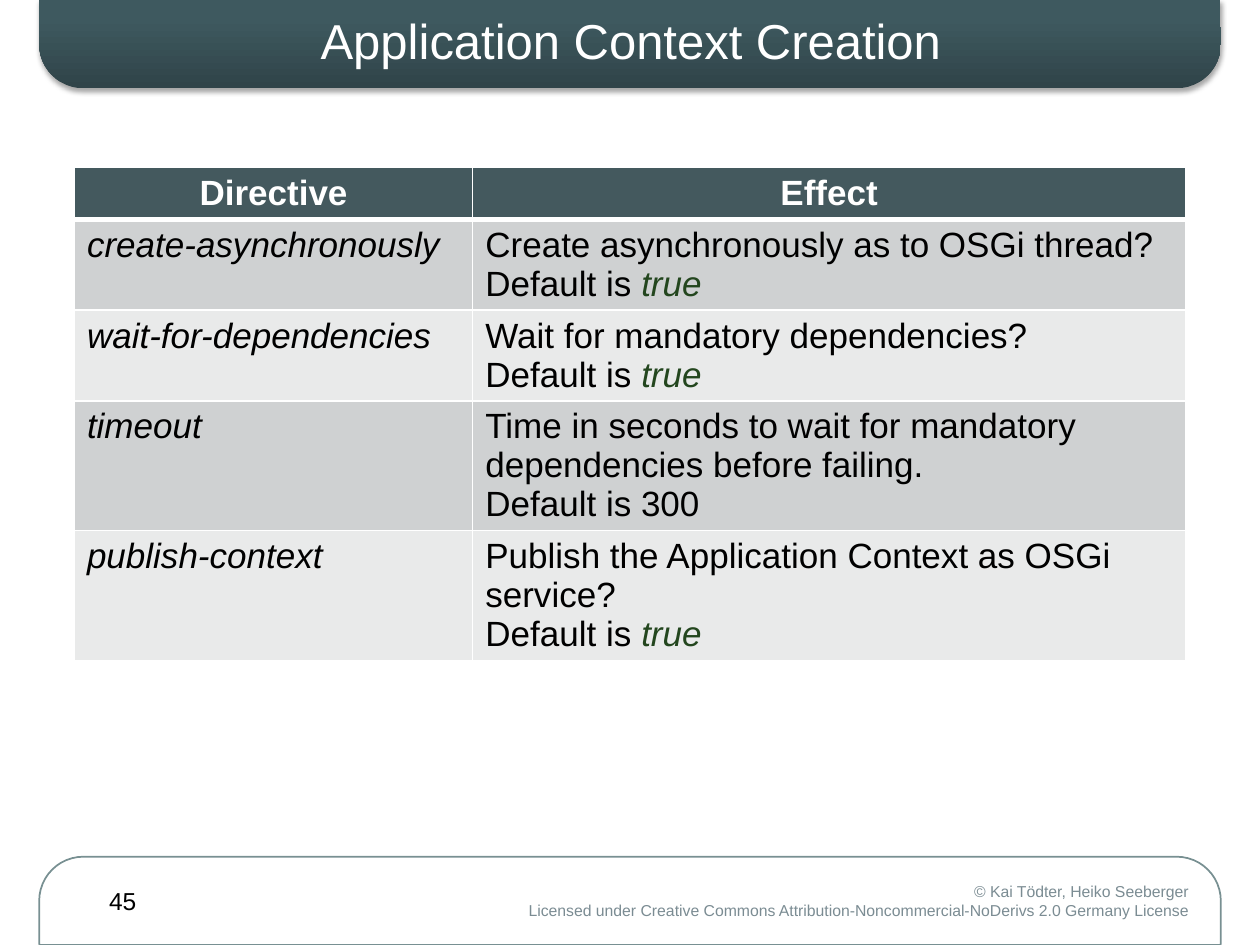
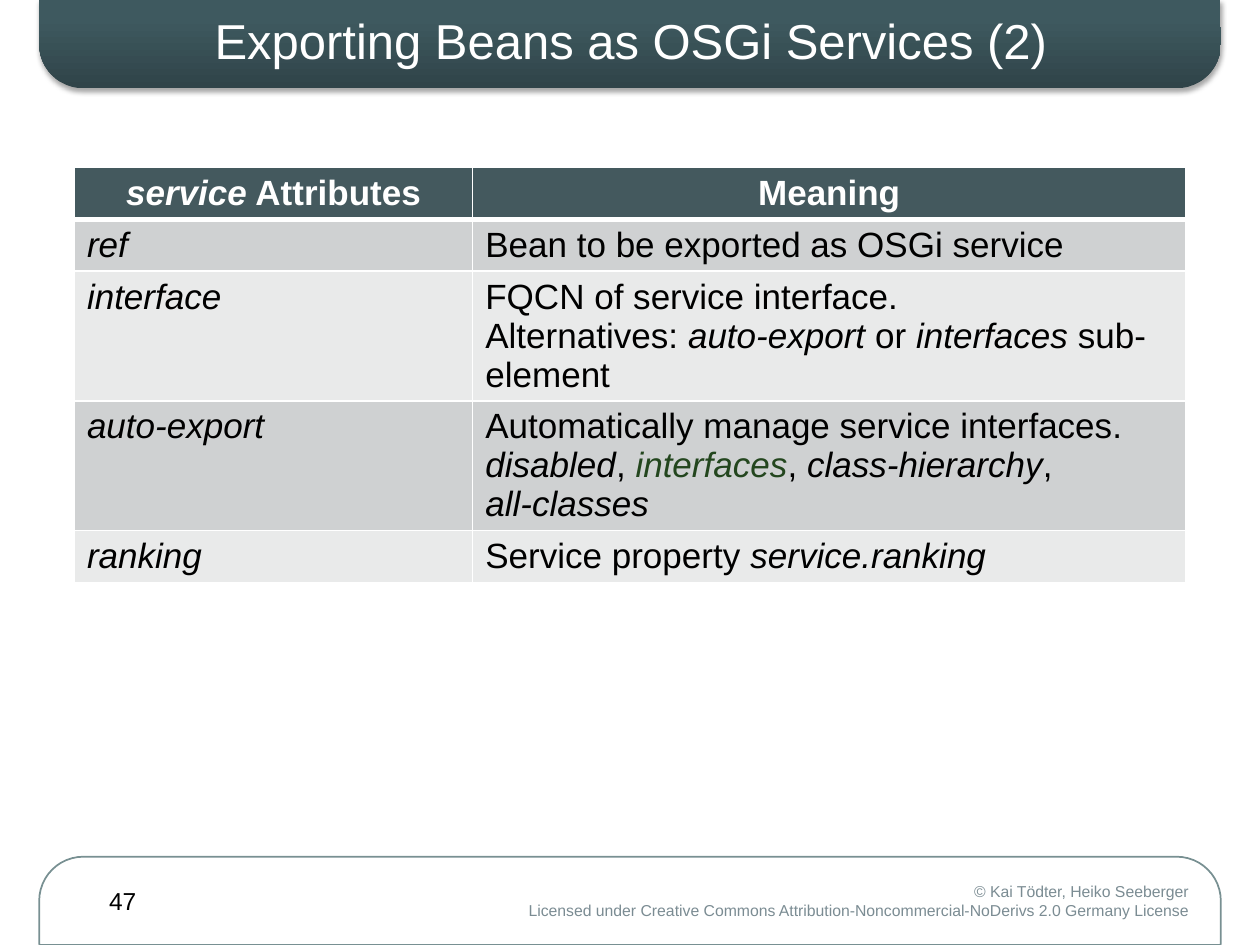
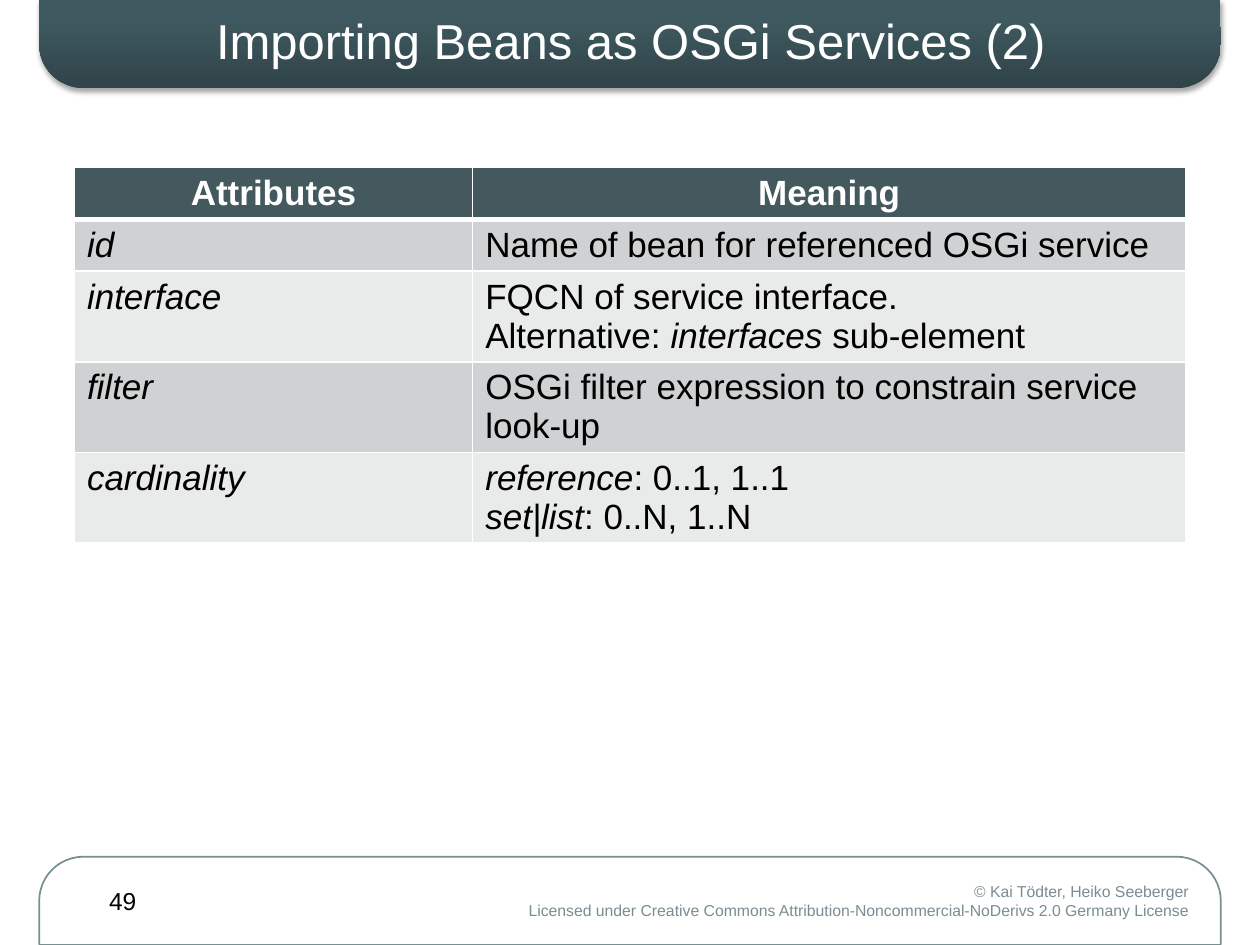
from dataclasses import dataclass

from pptx import Presentation
from pptx.dml.color import RGBColor
from pptx.enum.shapes import MSO_SHAPE
from pptx.enum.text import MSO_ANCHOR, PP_ALIGN
from pptx.oxml import parse_xml
from pptx.oxml.ns import nsdecls
from pptx.util import Cm, Pt


@dataclass(frozen=True)
class Theme:
    font: str = "Arial"
    title_size: Pt = Pt(28)
    table_size: Pt = Pt(20)
    number_size: Pt = Pt(14)
    footer_size: Pt = Pt(9)
    white: RGBColor = RGBColor.from_string("FFFFFF")
    black: RGBColor = RGBColor.from_string("000000")
    band_dark: RGBColor = RGBColor.from_string("304449")
    band_light: RGBColor = RGBColor.from_string("3E595F")
    outline: RGBColor = RGBColor.from_string("789092")
    footer: RGBColor = RGBColor.from_string("7B8C93")
    header: RGBColor = RGBColor.from_string("44595E")
    row_odd: RGBColor = RGBColor.from_string("CFD1D2")
    row_even: RGBColor = RGBColor.from_string("E9EAEA")
    default_value: RGBColor = RGBColor.from_string("23461E")


theme = Theme()

FOOTER = ("© Kai Tödter, Heiko Seeberger\n"
          "Licensed under Creative Commons Attribution-Noncommercial-NoDerivs 2.0 Germany License")

# Cell markup: *italic*, *+default value*; \n starts a paragraph, \v breaks a line.
# Each slide: title, page number, table height in cm, rows.
SLIDES = [
    ("Application Context Creation", 45, 10.59, [
        ("Directive", "Effect"),
        ("*create-asynchronously*", "Create asynchronously as to OSGi thread?\nDefault is *+true*"),
        ("*wait-for-dependencies*", "Wait for mandatory dependencies?\nDefault is *+true*"),
        ("*timeout*", "Time in seconds to wait for mandatory dependencies before failing.\n"
                      "Default is 300"),
        ("*publish-context*", "Publish the Application Context as OSGi service?\n"
                              "Default is *+true*"),
    ]),
    ("Exporting Beans as OSGi Services (2)", 47, 8.89, [
        ("*service* Attributes", "Meaning"),
        ("*ref*", "Bean to be exported as OSGi service"),
        ("*interface*", "FQCN of service interface.\n"
                        "Alternatives: *auto-export* or *interfaces* sub-element"),
        ("*auto-export*", "Automatically manage service interfaces.\n"
                          "*disabled*, *+interfaces*, *class-hierarchy*, \v*all-classes*"),
        ("*ranking*", "Service property *service.ranking*"),
    ]),
    ("Importing Beans as OSGi Services (2)", 49, 8.05, [
        ("Attributes", "Meaning"),
        ("*id*", "Name of bean for referenced OSGi service"),
        ("*interface*", "FQCN of service interface.\nAlternative: *interfaces* sub-element"),
        ("*filter*", "OSGi filter expression to constrain service look-up"),
        ("*cardinality*", "*reference*: 0..1, 1..1\n*set|list*: 0..N, 1..N"),
    ]),
]


def style(p, size, color, align=PP_ALIGN.LEFT, bold=False):
    p.alignment = align
    p.font.name, p.font.size, p.font.bold = theme.font, size, bold
    p.font.color.rgb = color


def fill_cell(cell, markup, row):
    """Write the marked-up text, white borders and row colour of one cell."""
    is_header = row == 0
    tc_pr = cell._tc.get_or_add_tcPr()
    widths = {"L": 1, "R": 1, "T": 3 if row == 1 else 1, "B": 3 if is_header else 1}
    for side, width in widths.items():
        tc_pr.append(parse_xml(
            f'<a:ln{side} {nsdecls("a")} w="{Pt(width)}"><a:solidFill>'
            f'<a:srgbClr val="{theme.white}"/></a:solidFill></a:ln{side}>'))
    cell.fill.solid()
    cell.fill.fore_color.rgb = (theme.header if is_header
                                else theme.row_odd if row % 2 else theme.row_even)
    tf = cell.text_frame
    for n, line in enumerate(markup.split("\n")):
        p = tf.add_paragraph() if n else tf.paragraphs[0]
        if is_header:
            style(p, theme.table_size, theme.white, PP_ALIGN.CENTER, bold=True)
        else:
            style(p, theme.table_size, theme.black)
        for i, piece in enumerate(line.split("*")):
            if not piece:
                continue
            r = p.add_run()
            r.text = piece.lstrip("+").rstrip("\v")
            r.font.italic = i % 2 == 1
            if piece.startswith("+"):
                r.font.color.rgb = theme.default_value
            if piece.endswith("\v"):
                p.add_line_break()


prs = Presentation()
prs.slide_width, prs.slide_height = Cm(25.4), Cm(19.05)

for title_text, number, table_height, rows in SLIDES:
    s = prs.slides.add_slide(prs.slide_layouts[5])

    # Bands at the top and bottom edges
    bands = []
    for top in (0, 17.27):
        sp = s.shapes.add_shape(MSO_SHAPE.ROUND_2_SAME_RECTANGLE,
                                Cm(0.79), Cm(top), Cm(23.82), Cm(1.78))
        sp.adjustments[0], sp.adjustments[1] = 0.016, 0.5
        sp.shadow.inherit = False
        bands.append(sp)
    title_band, footer_band = bands

    title_band.line.fill.background()
    title_band.fill.gradient()
    title_band.fill.gradient_angle = 90
    stops = title_band.fill.gradient_stops
    for stop, position, color in zip(stops, (0, 0.8), (theme.band_dark, theme.band_light)):
        stop.position, stop.color.rgb = position, color
    title_band._element.spPr.find("{*}effectLst").append(parse_xml(
        f'<a:outerShdw {nsdecls("a")} blurRad="{Pt(3.1)}" dist="{Pt(1.8)}" dir="5400000" '
        f'algn="ctr" rotWithShape="0"><a:srgbClr val="{theme.black}">'
        '<a:alpha val="35000"/></a:srgbClr></a:outerShdw>'))

    footer_band.rotation = 180
    footer_band.fill.background()
    footer_band.line.color.rgb, footer_band.line.width = theme.outline, Pt(1)

    # Footer and page number
    for left, width, text, size, color, align, anchor in (
            (4.37, 19.84, FOOTER, theme.footer_size, theme.footer,
             PP_ALIGN.RIGHT, MSO_ANCHOR.TOP),
            (0.99, 2.97, str(number), theme.number_size, theme.black,
             PP_ALIGN.CENTER, MSO_ANCHOR.MIDDLE)):
        tf = s.shapes.add_textbox(Cm(left), Cm(17.65), Cm(width), Cm(1.02)).text_frame
        tf.word_wrap, tf.vertical_anchor = True, anchor
        p = tf.paragraphs[0]
        p.text = text
        style(p, size, color, align)

    # Title, moved in front of its band
    title = s.shapes.title
    title.left, title.top, title.width, title.height = Cm(1.4), Cm(0), Cm(22.63), Cm(1.6)
    title.text_frame.vertical_anchor = MSO_ANCHOR.MIDDLE
    p = title.text_frame.paragraphs[0]
    p.text = title_text
    style(p, theme.title_size, theme.white, PP_ALIGN.CENTER)
    s.shapes._spTree.append(title._element)

    # Table: rows grow with their text
    frame = s.shapes.add_table(len(rows), 2, Cm(1.5), Cm(3.38), Cm(22.4), Cm(table_height))
    table = frame.table
    for column, width in zip(table.columns, (8.03, 14.37)):
        column.width = Cm(width)
    for i, row in enumerate(rows):
        table.rows[i].height = Cm(1.04)
        for j, markup in enumerate(row):
            fill_cell(table.cell(i, j), markup, i)
    frame.height = Cm(table_height)

prs.save("out.pptx")
